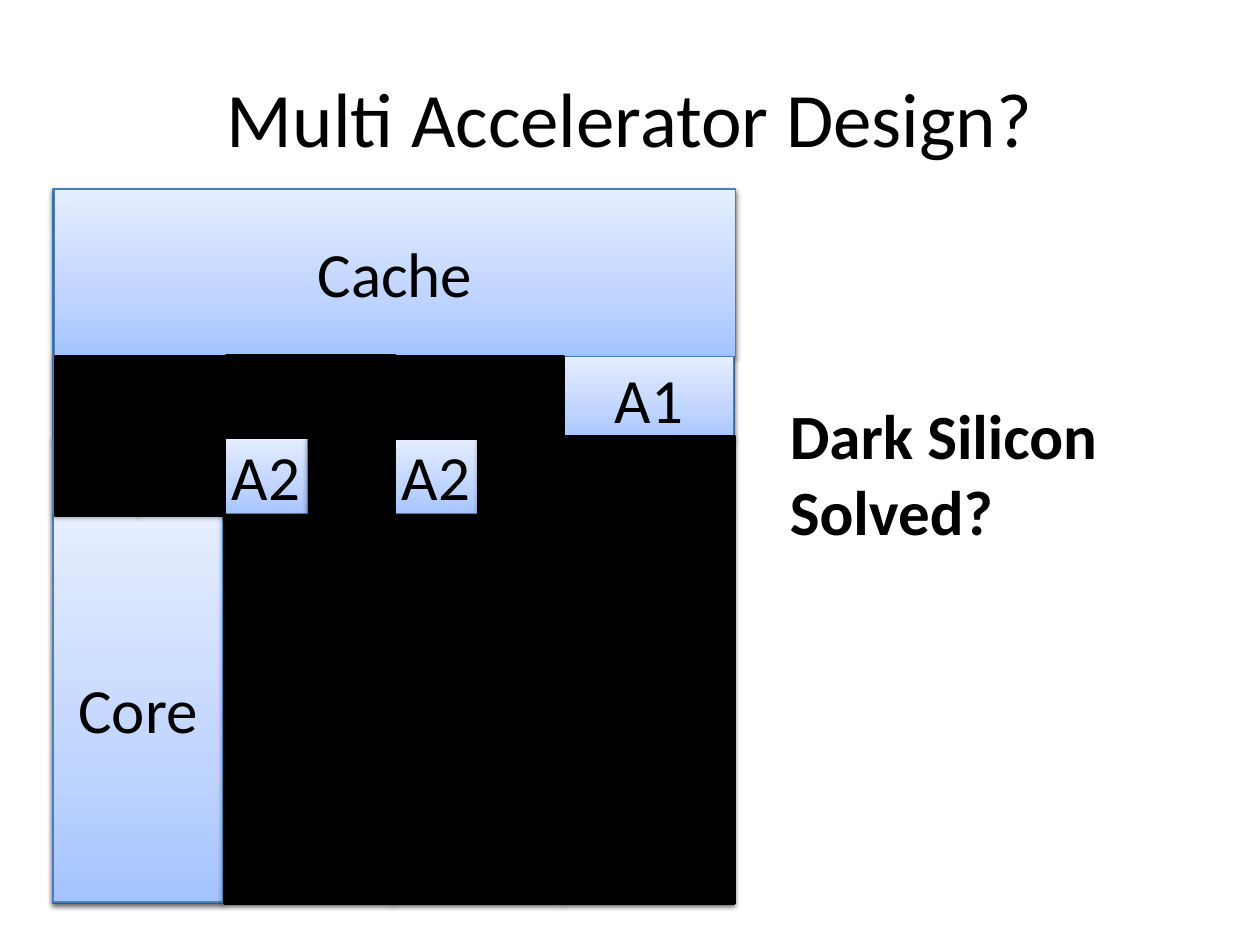
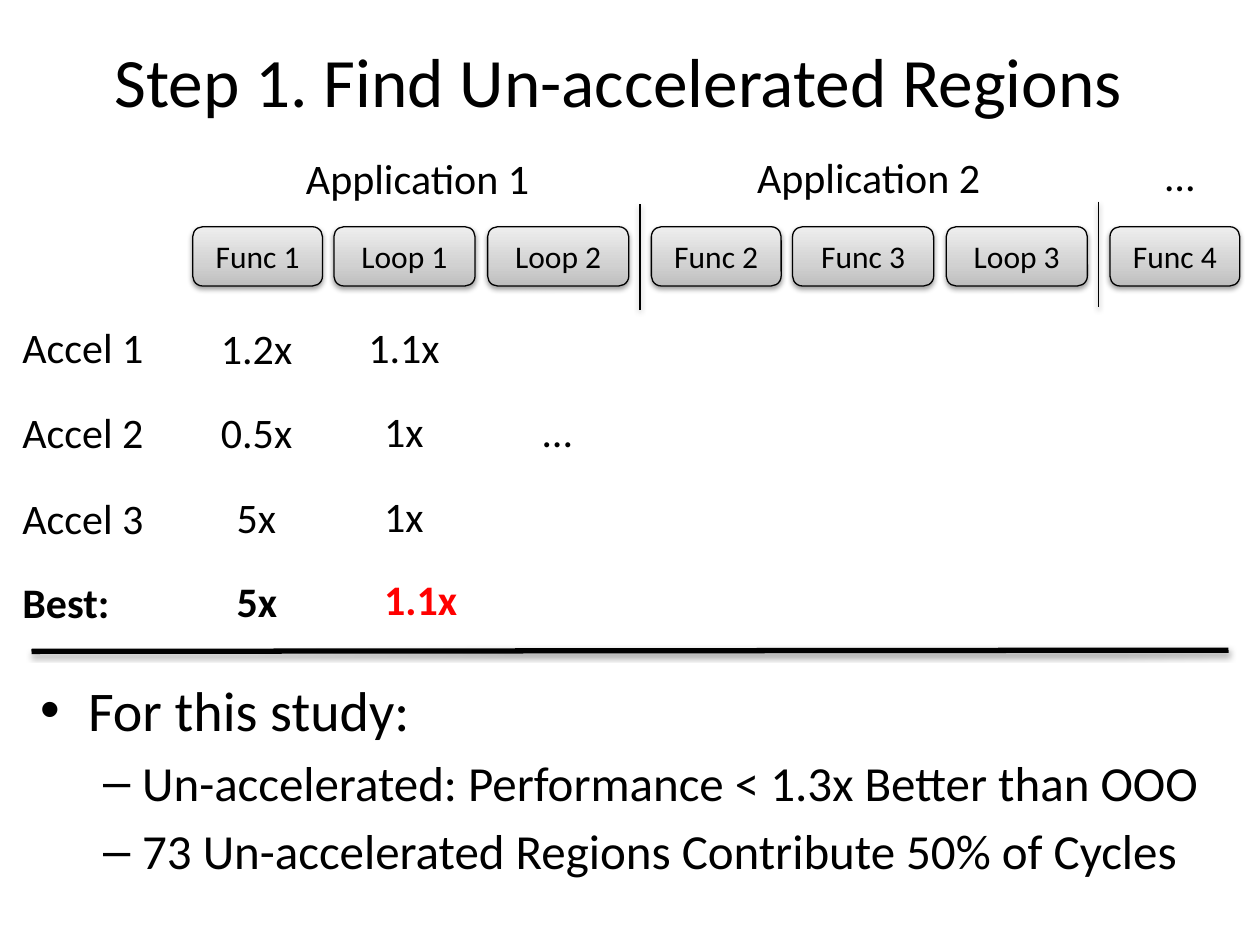
from lxml import etree
from pptx import Presentation
from pptx.dml.color import RGBColor
from pptx.enum.shapes import MSO_CONNECTOR, MSO_SHAPE
from pptx.enum.text import MSO_ANCHOR, MSO_AUTO_SIZE, PP_ALIGN
from pptx.oxml import parse_xml
from pptx.oxml.ns import nsdecls, qn
from pptx.util import Inches, Pt

RECT, ROUND = MSO_SHAPE.RECTANGLE, MSO_SHAPE.ROUNDED_RECTANGLE
LINE = MSO_CONNECTOR.STRAIGHT
MIDDLE, TOP = MSO_ANCHOR.MIDDLE, MSO_ANCHOR.TOP
CENTER, LEFT = PP_ALIGN.CENTER, PP_ALIGN.LEFT
GROW, FIXED = MSO_AUTO_SIZE.SHAPE_TO_FIT_TEXT, MSO_AUTO_SIZE.NONE

FONT = "Calibri"
BLACK, RED, EDGE = "000000", "FF0000", "4B7EBC"
BLUE = ("A4C4FF", "BFD4FF", "E6EEFF")
GRAY = ("BDBDBD", "D1D1D1", "EEEEEE")


def color(code):
    return RGBColor.from_string(code)


class Deck:
    """Holds the shared style and the current slide."""

    def __init__(self):
        self.prs = Presentation()
        self.prs.slide_width, self.prs.slide_height = Inches(10), Inches(7.5)
        self.slide = None

    def page(self, title, x, y, size):
        self.slide = self.prs.slides.add_slide(self.prs.slide_layouts[6])
        self.text(title, x, y, 9, 1.25, size, align=CENTER, anchor=MIDDLE,
                  wrap=True, fit=FIXED)

    def style(self, para, size, bold=False, ink=BLACK):
        for run in para.runs:
            font = run.font
            font.name, font.size, font.bold = FONT, Pt(size), bold
            font.color.rgb = color(ink)

    def text(self, words, x, y, w, h=0.5, size=24, bold=False, ink=BLACK,
             align=LEFT, anchor=TOP, wrap=False, fit=GROW):
        box = self.slide.shapes.add_textbox(
            Inches(x), Inches(y), Inches(w), Inches(h))
        frame = box.text_frame
        frame.text = words
        frame.word_wrap, frame.auto_size = wrap, fit
        frame.vertical_anchor = anchor
        frame.paragraphs[0].alignment = align
        self.style(frame.paragraphs[0], size, bold, ink)

    def shade(self, props, alpha=38):
        """Append a soft shadow to the shape properties."""
        effect = props.find(qn("a:effectLst"))
        if effect is None:
            effect = etree.SubElement(props, qn("a:effectLst"))
        effect.append(parse_xml(
            f'<a:outerShdw {nsdecls("a")} blurRad="40000" dist="20000" '
            f'dir="5400000" rotWithShape="0"><a:srgbClr val="{BLACK}">'
            f'<a:alpha val="{alpha * 1000}"/></a:srgbClr></a:outerShdw>'))

    def block(self, x, y, w, h, kind=RECT, fill=BLACK, edge=BLACK, width=2.0):
        shape = self.slide.shapes.add_shape(
            kind, Inches(x), Inches(y), Inches(w), Inches(h))
        shape.shadow.inherit = False
        shape.fill.solid()
        shape.fill.fore_color.rgb = color(fill)
        shape.line.color.rgb = color(edge)
        shape.line.width = Pt(width)
        return shape

    def tile(self, x, y, w, h, label="", size=36, kind=RECT, ramp=BLUE,
             edge=EDGE, wrap=True):
        """A block with a gradient, a shadow and a centred label."""
        shape = self.block(x, y, w, h, kind, ramp[0], edge, 0.75)
        props = shape._element.spPr
        stops = "".join(
            f'<a:gs pos="{pos * 1000}"><a:srgbClr val="{code}"/></a:gs>'
            for pos, code in zip((0, 35, 100), ramp))
        props.replace(props.find(qn("a:solidFill")), parse_xml(
            f'<a:gradFill {nsdecls("a")} rotWithShape="1"><a:gsLst>{stops}'
            '</a:gsLst><a:lin ang="16200000" scaled="0"/></a:gradFill>'))
        self.shade(props)
        if label:
            frame = shape.text_frame
            frame.text = label
            frame.word_wrap = wrap
            frame.vertical_anchor = MIDDLE
            frame.paragraphs[0].alignment = CENTER
            self.style(frame.paragraphs[0], size)

    def rule(self, x1, y1, x2, y2, width=0.75, alpha=38):
        line = self.slide.shapes.add_connector(
            LINE, Inches(x1), Inches(y1), Inches(x2), Inches(y2))
        line.line.color.rgb = color(BLACK)
        line.line.width = Pt(width)
        self.shade(line._element.spPr, alpha)

    def bullets(self, items, x, y, w, h):
        box = self.slide.shapes.add_textbox(
            Inches(x), Inches(y), Inches(w), Inches(h))
        frame = box.text_frame
        frame.word_wrap = True
        frame.text = "\n".join(words for _, words in items)
        looks = ((32, "•", 0.38, 0.38), (28, "–", 0.81, 0.31))
        for para, (level, _) in zip(frame.paragraphs, items):
            size, mark, margin, hang = looks[level]
            para.level = level
            para.space_before = Pt(size * 0.2)
            self.style(para, size)
            props = para._p.get_or_add_pPr()
            props.set("marL", str(Inches(margin)))
            props.set("indent", str(-Inches(hang)))
            etree.SubElement(props, qn("a:buFont")).set("typeface", "Arial")
            etree.SubElement(props, qn("a:buChar")).set("char", mark)


def chip(deck):
    deck.page("Multi Accelerator Design?", 0.5, 0.3, 44)
    left, step = 0.42, 1.35

    # Die, cores and cache
    deck.tile(left, 1.5, 5.41, 5.67)
    for col, label in enumerate(("Core", "", "", "")):
        deck.tile(left + col * step, 4.09, step, 3.07, label)
    deck.tile(0.43, 1.5, 5.41, 1.33, "Cache")

    # Accelerators: one wide tile above two small ones per core
    for col, label in enumerate(("", "", "", "A1")):
        deck.tile(0.43 + col * step, 2.83, 1.34, 0.67, label)
    for half in range(8):
        deck.tile(left + half * step / 2, 3.47, 0.68, 0.61,
                  "A2" if half in (2, 4) else "", wrap=False)

    # Dark areas
    for area in ((1.78, 4.09, 4.05, 3.08), (1.8, 2.82, 1.34, 0.65),
                 (2.46, 3.49, 0.67, 0.6), (0.44, 2.83, 1.34, 1.26),
                 (3.13, 2.83, 1.34, 0.65), (3.8, 3.46, 0.67, 0.63),
                 (4.49, 3.47, 1.34, 0.62)):
        deck.block(*area)

    deck.text("Dark Silicon Solved?", 6.17, 3.1, 3.33, 1.31, 36, bold=True,
              wrap=True)


def regions(deck):
    deck.page("Step 1. Find Un-accelerated Regions", 0.41, 0.01, 39.6)

    # Code regions of each application
    slots = ((0, 1.03), (1.12, 1.12), (2.34, 1.12))
    apps = (("Func 1", "Loop 1", "Loop 2"), ("Func 2", "Func 3", "Loop 3"),
            ("Func 4",))
    for app, names in enumerate(apps):
        for name, (shift, width) in zip(names, slots):
            deck.tile(1.53 + app * 3.64 + shift, 1.8, width, 0.47, name, 18,
                      ROUND, GRAY, BLACK)
    for x, y in ((5.08, 1.62), (8.72, 1.6)):
        deck.rule(x, y, x, y + 0.84)
    for name, x, y, width in (("Application 1", 2.33, 1.16, 1.99),
                              ("Application 2", 5.91, 1.15, 1.99),
                              ("…", 9.15, 1.14, 0.44),
                              ("…", 4.21, 3.17, 0.44)):
        deck.text(name, x, y, width)

    # Speedups: row names, then values centred in two columns
    for row, name in enumerate(("Accel 1", "Accel 2", "Accel 3")):
        deck.text(name, 0.08, 2.5 + row * 0.68, 1.17)
    deck.text("Best:", 0.08, 4.53, 0.9, bold=True)
    for mid, top, values in ((2.04, 2.51, ("1.2x", "0.5x", "5x", "5x")),
                             (3.21, 2.5, ("1.1x", "1x", "1x"))):
        for row, value in enumerate(values):
            width = 0.77 if len(value) == 4 else 0.52
            deck.text(value, mid - width / 2, top + row * 0.67, width,
                      bold=row == 3)
    deck.text("1.1x", 2.95, 4.5, 0.79, bold=True, ink=RED)

    # Findings
    deck.bullets(((0, "For this study:"),
                  (1, "Un-accelerated: Performance < 1.3x Better than OOO"),
                  (1, "73 Un-accelerated Regions Contribute 50% of Cycles")),
                 0.22, 5.31, 9.72, 1.86)
    deck.rule(0.25, 5.17, 9.75, 5.16, 3, 35)


def main():
    deck = Deck()
    chip(deck)
    regions(deck)
    deck.prs.save("out.pptx")


if __name__ == "__main__":
    main()
